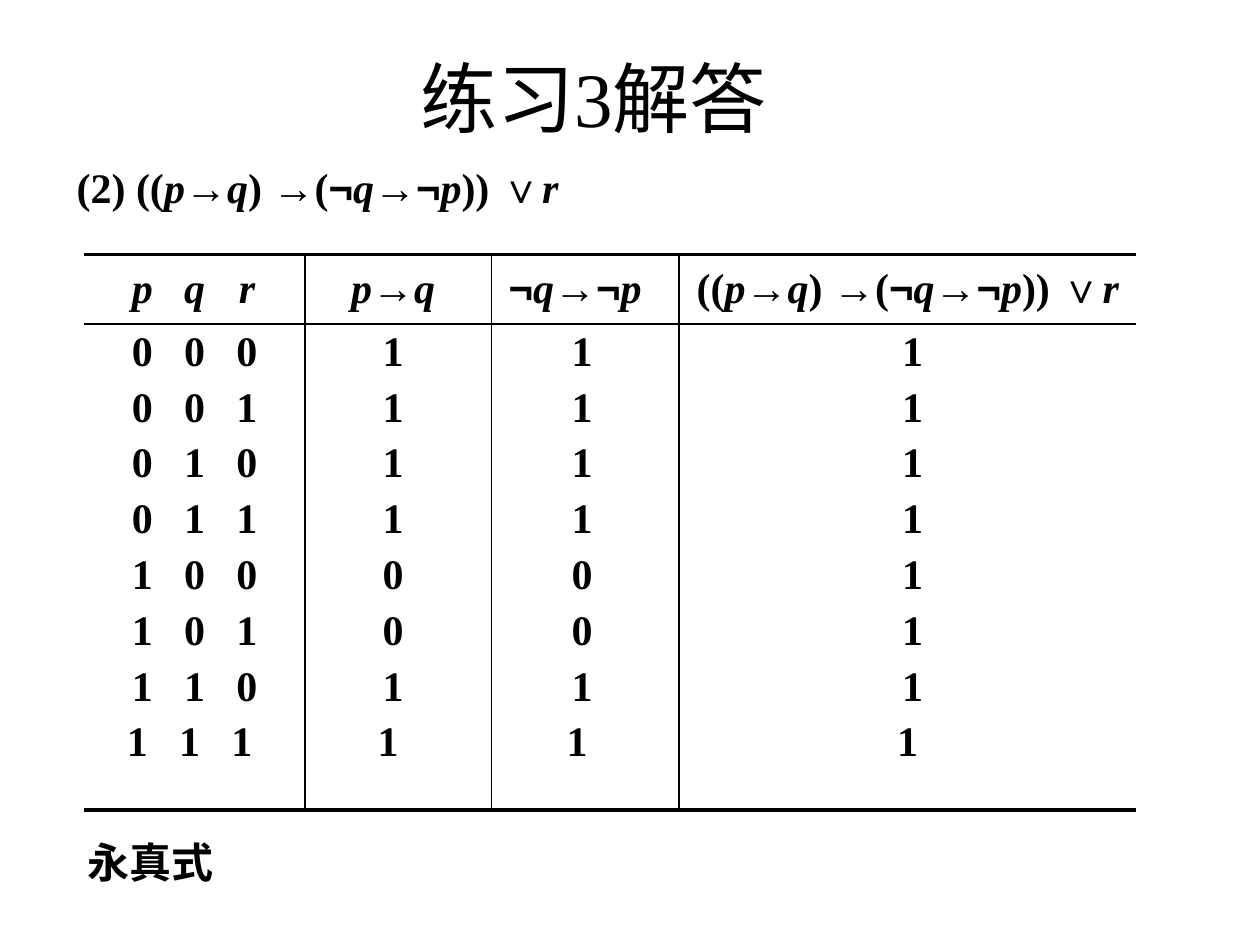
from dataclasses import dataclass
from itertools import accumulate, groupby, product

from lxml.etree import SubElement
from pptx import Presentation
from pptx.dml.color import RGBColor
from pptx.enum.shapes import MSO_CONNECTOR
from pptx.enum.text import MSO_ANCHOR, PP_ALIGN
from pptx.oxml.ns import qn
from pptx.util import Inches, Pt


@dataclass(frozen=True)
class Theme:
    ink: RGBColor = RGBColor(0, 0, 0)
    text_font: str = "Times New Roman"
    symbol_font: str = "Arial"
    title_size: float = 44
    body_size: float = 24
    thick_rule: float = 2.25
    thin_rule: float = 1


@dataclass(frozen=True)
class Label:
    text: str
    left: float
    top: float
    width: float
    height: float
    size: float
    bold: bool = True
    align: PP_ALIGN = PP_ALIGN.LEFT
    anchor: MSO_ANCHOR = MSO_ANCHOR.TOP
    wrap: bool = True


@dataclass(frozen=True)
class Column:
    heading: str
    values: str
    width: float
    left_margin: float = 0
    right_margin: float = 0
    heading_inset: float = 0
    rule_before: bool = False


THEME = Theme()
FORMULA = "((p→q) →(¬q→¬p)) ∨r"
VARIABLES = "pqr"
SYMBOLS = "→¬∨练习"
NO_GRID_STYLE = "{2D5ABB26-0587-4C30-8999-92F81FD0307C}"

LABELS = [
    Label("练习3解答", 2, 0.54, 5.42, 0.46, THEME.title_size, False,
          PP_ALIGN.CENTER, MSO_ANCHOR.MIDDLE),
    Label(f"(2) {FORMULA}", 0.51, 1.23, 5.04, 0.5, THEME.body_size),
    Label("永真式", 0.6, 6.59, 1.2, 0.5, THEME.body_size,
          anchor=MSO_ANCHOR.MIDDLE, wrap=False),
]

# Truth values for all assignments, one string per variable
ASSIGNMENTS = ["".join(bits) for bits in zip(*product("01", repeat=3))]
COLUMNS = [
    Column("p", ASSIGNMENTS[0], 0.67, left_margin=0.25),
    Column("q", ASSIGNMENTS[1], 0.41),
    Column("r", ASSIGNMENTS[2], 0.67, right_margin=0.25),
    Column("p→q", "11110011", 1.48, right_margin=0.08, rule_before=True),
    Column("¬q→¬p", "11110011", 1.49, right_margin=0.05, heading_inset=0.11,
           rule_before=True),
    Column(FORMULA, "11111111", 3.63, left_margin=0.08, heading_inset=0.08,
           rule_before=True),
]
TABLE_LEFT, TABLE_TOP, TABLE_HEIGHT = 0.67, 2.02, 4.41
TABLE_WIDTH = sum(column.width for column in COLUMNS)
TABLE_RIGHT, TABLE_BOTTOM = TABLE_LEFT + TABLE_WIDTH, TABLE_TOP + TABLE_HEIGHT
HEADER_HEIGHT, ROW_HEIGHT = 0.55, 0.443
VALUE_TOP_MARGIN, LAST_ROW_INSET = 0.04, 0.08


def run_style(character: str) -> tuple[str, bool]:
    """Font name and italic flag for one character."""
    font = THEME.symbol_font if character in SYMBOLS else THEME.text_font
    return font, character in VARIABLES


def write_text(paragraph, text: str, size: float, bold: bool, align: PP_ALIGN) -> None:
    paragraph.alignment = align
    paragraph.font.size = Pt(size)
    paragraph.font.bold = bold
    paragraph.font.color.rgb = THEME.ink
    for (font, italic), characters in groupby(text, run_style):
        run = paragraph.add_run()
        run.text = "".join(characters)
        run.font.name = font
        run.font.italic = italic


def add_label(slide, label: Label) -> None:
    box = slide.shapes.add_textbox(Inches(label.left), Inches(label.top),
                                   Inches(label.width), Inches(label.height))
    frame = box.text_frame
    frame.word_wrap = label.wrap
    frame.vertical_anchor = label.anchor
    write_text(frame.paragraphs[0], label.text, label.size, label.bold, label.align)


def add_rule(slide, start: tuple[float, float], end: tuple[float, float],
             weight: float) -> None:
    rule = slide.shapes.add_connector(
        MSO_CONNECTOR.STRAIGHT, *(Inches(value) for value in (*start, *end)))
    rule.line.color.rgb = THEME.ink
    rule.line.width = Pt(weight)
    SubElement(rule._element.spPr, qn("a:effectLst"))


def add_truth_table(slide) -> None:
    row_count = len(COLUMNS[0].values) + 1
    frame = slide.shapes.add_table(
        row_count, len(COLUMNS), Inches(TABLE_LEFT), Inches(TABLE_TOP),
        Inches(TABLE_WIDTH), Inches(TABLE_HEIGHT))
    table = frame.table
    table.first_row = False
    table.horz_banding = False
    table._tbl.tblPr.find(qn("a:tableStyleId")).text = NO_GRID_STYLE

    # Equal value rows; the last one takes the remaining height
    heights = [HEADER_HEIGHT] + [ROW_HEIGHT] * (row_count - 2)
    heights.append(TABLE_HEIGHT - sum(heights))
    for row, height in zip(table.rows, heights):
        row.height = Inches(height)

    for column_index, column in enumerate(COLUMNS):
        table.columns[column_index].width = Inches(column.width)
        insets = [column.heading_inset] + [0] * (row_count - 2) + [LAST_ROW_INSET]
        for row_index, text in enumerate([column.heading, *column.values]):
            cell = table.cell(row_index, column_index)
            cell.fill.background()
            cell.margin_left = Inches(column.left_margin)
            cell.margin_right = Inches(column.right_margin + insets[row_index])
            cell.margin_top = Inches(VALUE_TOP_MARGIN if row_index else 0)
            cell.margin_bottom = 0
            cell.vertical_anchor = MSO_ANCHOR.TOP if row_index else MSO_ANCHOR.MIDDLE
            write_text(cell.text_frame.paragraphs[0], text, THEME.body_size,
                       True, PP_ALIGN.CENTER)


def add_table_rules(slide) -> None:
    for y, weight in [(TABLE_TOP, THEME.thick_rule),
                      (TABLE_TOP + HEADER_HEIGHT, THEME.thin_rule),
                      (TABLE_BOTTOM, THEME.thick_rule)]:
        add_rule(slide, (TABLE_LEFT, y), (TABLE_RIGHT, y), weight)

    column_lefts = accumulate((column.width for column in COLUMNS), initial=TABLE_LEFT)
    for column, x in zip(COLUMNS, column_lefts):
        if column.rule_before:
            add_rule(slide, (x, TABLE_TOP), (x, TABLE_BOTTOM), THEME.thin_rule)


def main() -> None:
    presentation = Presentation()
    presentation.slide_width = Inches(10)
    presentation.slide_height = Inches(7.5)
    slide = presentation.slides.add_slide(presentation.slide_layouts[6])

    # Title, formula and conclusion
    for label in LABELS:
        add_label(slide, label)

    # Truth table with its rules
    add_truth_table(slide)
    add_table_rules(slide)
    presentation.save("out.pptx")


if __name__ == "__main__":
    main()
